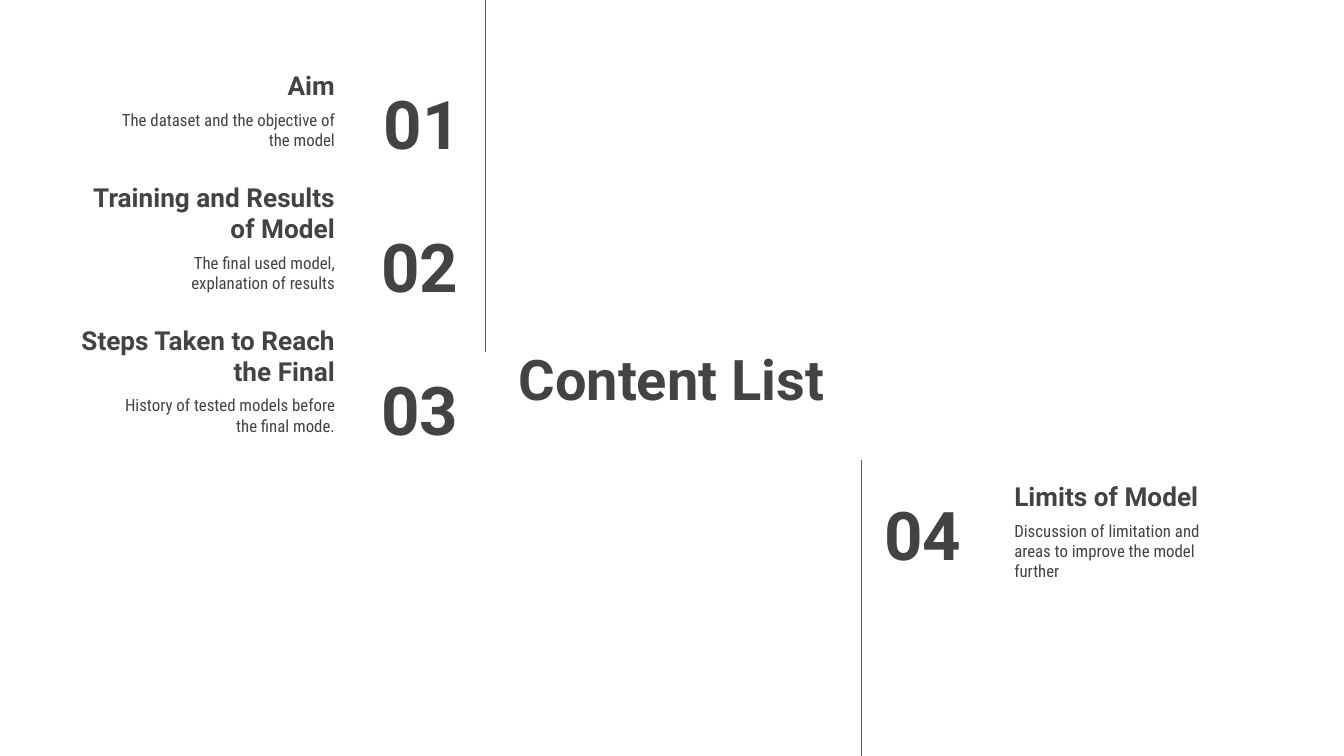
"""Builds the content list slide: a central title, four numbered topics and two rules."""
from dataclasses import dataclass

import pptx
import pptx.dml.color
import pptx.enum.shapes
import pptx.enum.text
import pptx.oxml
import pptx.util
from pptx.util import Cm

ALIGN = pptx.enum.text.PP_ALIGN
ANCHOR = pptx.enum.text.MSO_ANCHOR


@dataclass(frozen=True)
class Theme:
    ink: str = "434343"
    rule: str = "595959"
    display: str = "Roboto"
    body: str = "Roboto Condensed"
    title_size: int = 30
    number_size: int = 36
    heading_size: int = 14
    body_size: int = 9
    rule_width: float = 0.75


theme = Theme()


def fill_box(box, text, size, align, anchor, font=theme.display, bold=True):
    frame = box.text_frame
    frame.word_wrap = True
    frame.auto_size = pptx.enum.text.MSO_AUTO_SIZE.NONE
    frame.vertical_anchor = anchor
    frame.margin_left = frame.margin_right = Cm(0.25)
    frame.margin_top = frame.margin_bottom = Cm(0.25)
    frame.text = text
    para = frame.paragraphs[0]
    para.alignment = align
    para.font.name = font
    para.font.size = pptx.util.Pt(size)
    para.font.bold = bold
    para.font.color.rgb = pptx.dml.color.RGBColor.from_string(theme.ink)


deck = pptx.Presentation()
deck.slide_width, deck.slide_height = Cm(25.4), Cm(14.29)
page = deck.slides.add_slide(deck.slide_layouts[5])

title = page.shapes.title
title.left, title.top, title.width, title.height = Cm(9.4), Cm(5.84), Cm(6.58), Cm(2.62)
fill_box(title, "Content List", theme.title_size, ALIGN.CENTER, ANCHOR.MIDDLE)

first_top, row_step, row_height = 0.56, 2.7, 1.6
heading_width, body_width, number_width = 5.49, 4.65, 3.07
body_drop, number_drop = 1.26, 0.96
left_side = (1.09, 1.93, ALIGN.RIGHT)
right_side = (18.92, 18.92, ALIGN.LEFT)

topics = [
    ("Aim", "The dataset and the objective of the model", first_top, 5.89, left_side),
    ("Training and Results of Model", "The final used model, explanation of results",
     first_top + row_step, 5.84, left_side),
    ("Steps Taken to Reach the Final", "History of tested models before the final mode.",
     first_top + 2 * row_step, 5.84, left_side),
    ("Limits of Model", "Discussion of limitation and areas to improve the model further",
     8.33, 16.46, right_side),
]

for number, (heading, summary, top, number_left, side) in enumerate(topics, start=1):
    heading_left, body_left, align = side
    box = page.shapes.add_textbox(Cm(heading_left), Cm(top), Cm(heading_width), Cm(row_height))
    fill_box(box, heading, theme.heading_size, align, ANCHOR.BOTTOM)
    box = page.shapes.add_textbox(Cm(body_left), Cm(top + body_drop), Cm(body_width), Cm(row_height))
    fill_box(box, summary, theme.body_size, align, ANCHOR.TOP, theme.body, False)
    box = page.shapes.add_textbox(Cm(number_left), Cm(top + number_drop), Cm(number_width), Cm(row_height))
    fill_box(box, f"{number:02d}", theme.number_size, align, ANCHOR.MIDDLE)

for x, top, bottom in [(9.17, 0, 6.65), (16.28, 8.69, 14.29)]:
    rule = page.shapes.add_connector(
        pptx.enum.shapes.MSO_CONNECTOR.STRAIGHT, Cm(x), Cm(top), Cm(x), Cm(bottom))
    rule.line.color.rgb = pptx.dml.color.RGBColor.from_string(theme.rule)
    rule.line.width = pptx.util.Pt(theme.rule_width)
    rule._element.spPr.append(pptx.oxml.parse_xml(
        '<a:effectLst xmlns:a="http://schemas.openxmlformats.org/drawingml/2006/main"/>'))

deck.save("out.pptx")
